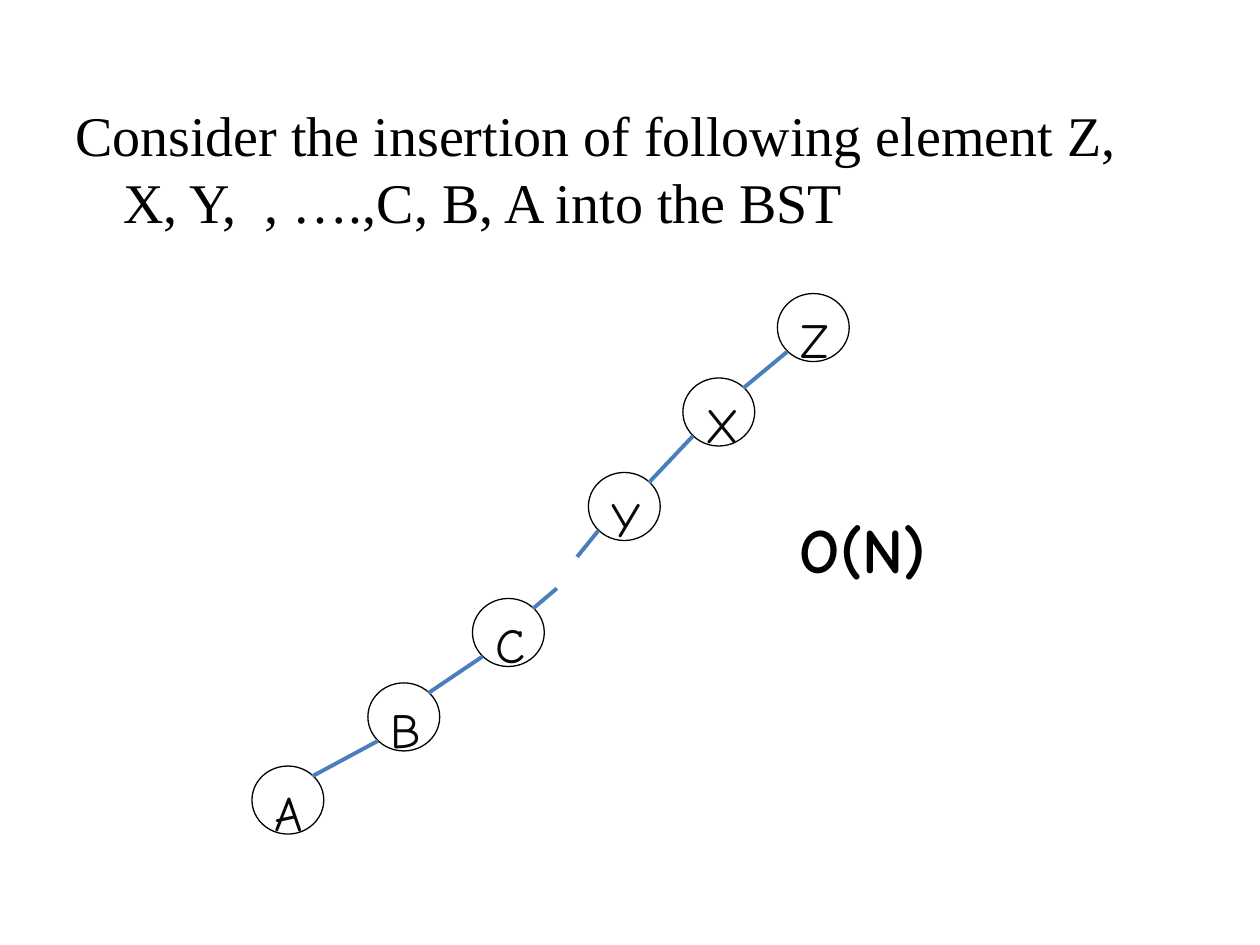
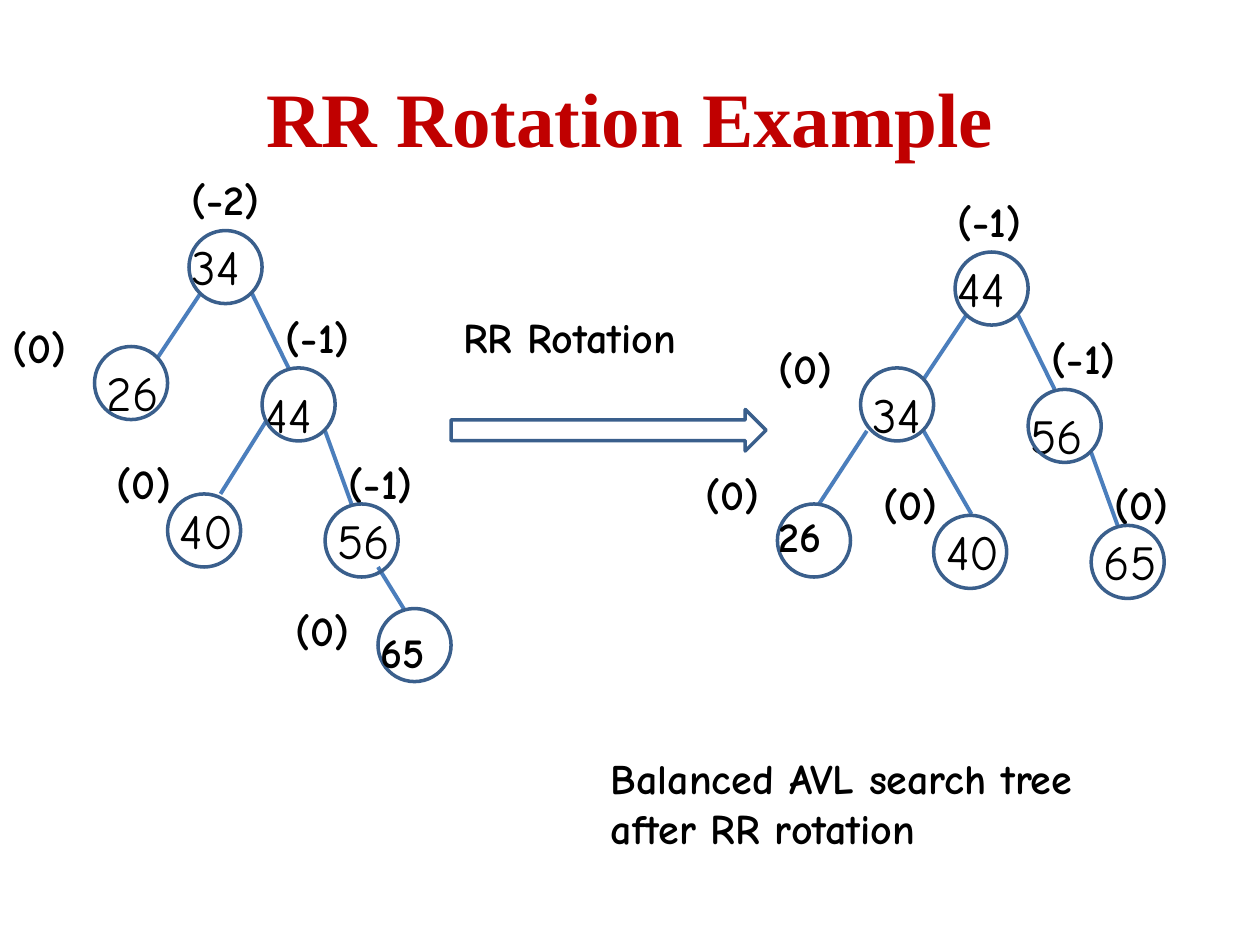
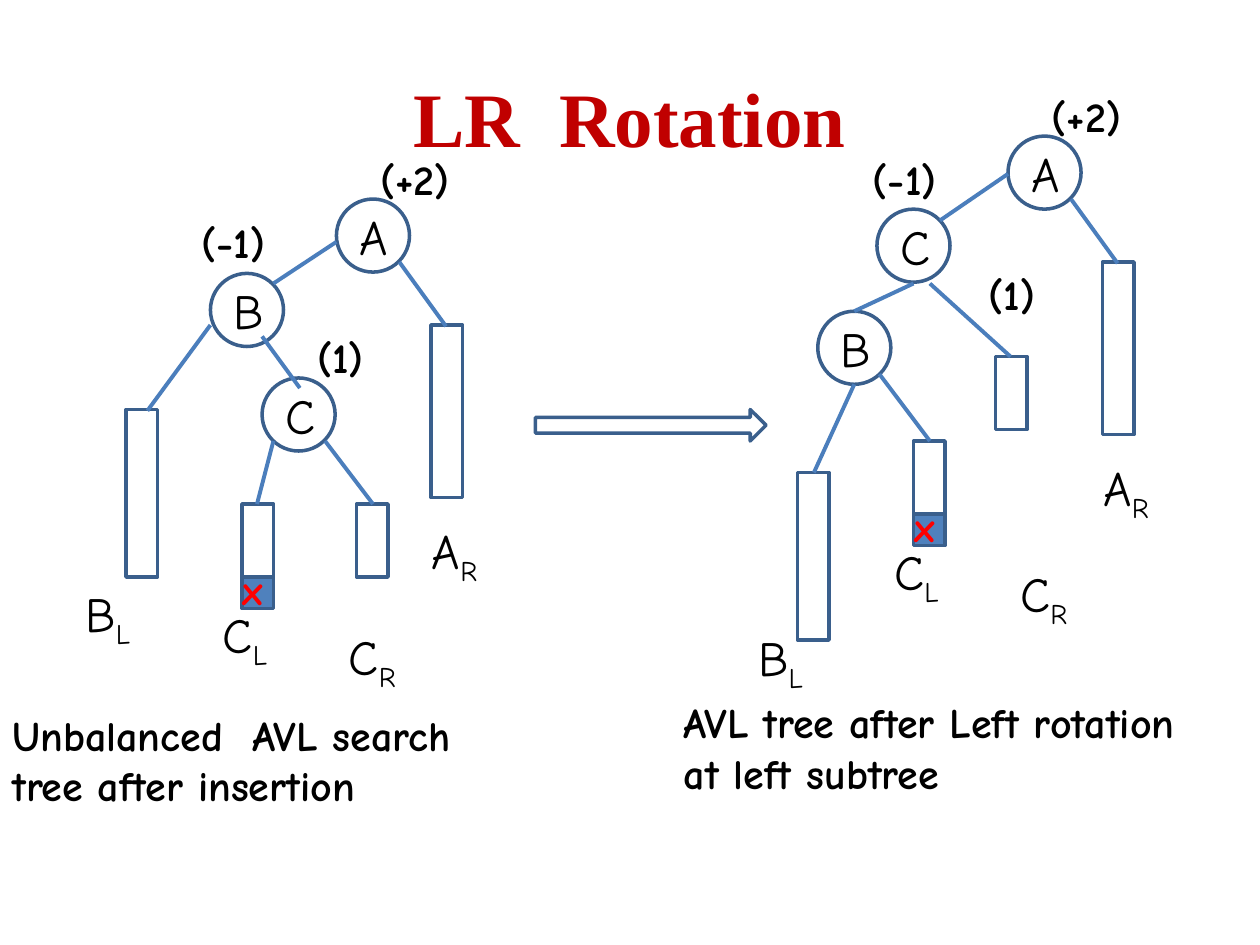
from itertools import pairwise

from lxml.etree import SubElement
from pptx import Presentation
from pptx.dml.color import RGBColor
from pptx.enum.shapes import MSO_CONNECTOR as Connector, MSO_SHAPE as Shape
from pptx.enum.text import MSO_ANCHOR as Anchor, MSO_AUTO_SIZE as AutoSize, PP_ALIGN as Align
from pptx.oxml.ns import qn
from pptx.util import Inches, Pt

SERIF, HAND = "Times New Roman", "Comic Neue"
BLACK, NODE_TEXT, TITLE_RED, MARK_RED = "000000", "080808", "C00000", "FF0000"
EDGE, OUTLINE, MARK_FILL = "4B7EBC", "3A5F8C", "4F81BD"
NODE = 0.58  # diameter of a tree node
BAR = 0.25   # width of a subtree bar


# Shared parts
def color(value):
    return RGBColor.from_string(value)


def style(span, size, bold=False, ink=BLACK, font=HAND):
    span.font.name = font
    span.font.size = Pt(size)
    span.font.bold = bold
    span.font.color.rgb = color(ink)


def add_text(page, left, top, width, height, text, size, bold=False, ink=BLACK, font=HAND):
    box = page.shapes.add_textbox(Inches(left), Inches(top), Inches(width), Inches(height))
    box.text_frame.word_wrap = True
    box.text_frame.text = text
    para = box.text_frame.paragraphs[0]
    style(para.runs[0], size, bold, ink, font)
    return box


def add_label(page, left, top, text, width=1.25, height=0.5, ink=BLACK):
    box = add_text(page, left, top, width, height, text, 24, True, ink)
    box.text_frame.auto_size = AutoSize.SHAPE_TO_FIT_TEXT


def add_subtree_name(page, left, top, name, side):
    box = add_text(page, left, top, 0.83, 0.57, name, 28)
    span = box.text_frame.paragraphs[0].add_run()
    span.text = side
    style(span, 28)
    span._r.get_or_add_rPr().set("baseline", "-25000")


def add_figure(page, kind, left, top, width, height, fill=None, line=OUTLINE, weight=2):
    figure = page.shapes.add_shape(kind, Inches(left), Inches(top), Inches(width), Inches(height))
    figure.shadow.inherit = False
    if fill:
        figure.fill.solid()
        figure.fill.fore_color.rgb = color(fill)
    else:
        figure.fill.background()
    figure.line.color.rgb = color(line)
    figure.line.width = Pt(weight)
    return figure


def add_node(page, left, top, text=None):
    node = add_figure(page, Shape.OVAL, left, top, NODE, NODE)
    if text:
        write_in(node, text, Anchor.MIDDLE)


def write_in(figure, text, anchor, ink=BLACK):
    frame = figure.text_frame
    frame.vertical_anchor = anchor
    frame.text = text
    para = frame.paragraphs[0]
    para.alignment = Align.CENTER
    style(para.runs[0], 28, ink=ink)


def add_edges(page, left, top, edges):
    for x1, y1, x2, y2 in edges:
        edge = page.shapes.add_connector(
            Connector.STRAIGHT, Inches(left + x1), Inches(top + y1),
            Inches(left + x2), Inches(top + y2))
        edge.line.color.rgb = color(EDGE)
        edge.line.width = Pt(2.25)
        SubElement(edge._element.spPr, qn("a:effectLst"))


def add_title(page, text):
    box = add_text(page, 0.5, 0.3, 9, 1.25, text, 44, True, TITLE_RED, SERIF)
    box.text_frame.vertical_anchor = Anchor.MIDDLE
    box.text_frame.paragraphs[0].alignment = Align.CENTER


# Slide 1: the chain that a sorted insertion makes
def add_chain(page, left, top):
    nodes = [("Z", 4.17, 0), ("X", 3.42, 0.67), ("Y", 2.67, 1.42),
             ("C", 1.75, 2.42), ("B", 0.92, 3.09), ("A", 0, 3.75)]
    for name, x, y in nodes:
        node = add_figure(page, Shape.OVAL, left + x, top + y, 0.57, 0.54, line=BLACK, weight=0.75)
        write_in(node, name, Anchor.TOP, NODE_TEXT)
    edges = []
    for (name, x1, y1), (_, x2, y2) in pairwise(nodes):
        start, end = (x1 + 0.08, y1 + 0.46), (x2 + 0.48, y2 + 0.08)
        if name == "Y":  # the gap stands for the letters left out
            edges += [(*start, 2.58, 2.09), (2.42, 2.34, *end)]
        else:
            edges.append((*start, *end))
    add_edges(page, left, top, edges)


def build_insertion(page):
    box = add_text(page, 0.5, 0.75, 8.9, 6.25,
                   "Consider the insertion of following element Z, X, Y,  , ….,C, B, A into the BST",
                   32, font=SERIF)
    indent = box.text_frame.paragraphs[0]._p.get_or_add_pPr()
    indent.set("marL", str(Inches(0.38)))
    indent.set("indent", str(Inches(-0.38)))
    add_chain(page, 2, 2.33)
    add_text(page, 6.25, 4, 2.17, 0.71, "O(N)", 36, True)


# Slide 2: a numbered tree of five nodes, and a sixth that differs
def add_number_tree(page, left, top, keys, balances, sixth, edges):
    node_places = [(1.5, 0.5), (0.75, 1.42), (2.08, 1.59), (1.33, 2.59), (2.58, 2.67)]
    key_places = [(1.42, 0.5, 1.08), (0.75, 1.5, 0.75), (2, 1.67, 1.25),
                  (1.33, 2.59, 0.75), (2.58, 2.67, 0.75)]
    balance_places = [(1.42, 0, 1.25), (0, 1.17, 0.92), (2.17, 1.09, 1.25),
                      (0.83, 2.25, 1.25), (2.67, 2.25, 1.25)]
    common_edges = [(1.59, 1, 1.25, 1.51), (2, 1, 2.29, 1.59), (2.58, 2.09, 2.79, 2.67)]
    add_edges(page, left, top, common_edges + edges)
    for key, (x, y, width) in zip(keys, key_places):
        add_text(page, left + x, top + y, width, 0.57, key, 28)
    for balance, (x, y, width) in zip(balances, balance_places):
        add_label(page, left + x, top + y, balance, width)
    key, node_place, (key_x, key_y), (balance_x, balance_y) = sixth
    for x, y in node_places + [node_place]:
        add_node(page, left + x, top + y)
    add_label(page, left + key_x, top + key_y, key, 0.83)
    add_label(page, left + balance_x, top + balance_y, "(0)")


def build_rr_example(page):
    add_title(page, "RR Rotation Example")
    add_figure(page, Shape.RIGHT_ARROW, 3.58, 3.25, 2.5, 0.33)
    add_label(page, 3.58, 2.42, "RR Rotation", 2.08, 0.91)
    add_number_tree(
        page, 0, 1.33, ["34", "26", "44", "40", "56"], ["(-2)", "(0)", "(-1)", "(0)", "(-1)"],
        sixth=("65", (3, 3.5), (2.92, 3.59), (2.25, 3.42)),
        edges=[(2.12, 2, 1.75, 2.59), (3, 3.17, 3.21, 3.51)])
    add_number_tree(
        page, 6.08, 1.5, ["44", "34", "56", "40", "65"], ["(-1)", "(0)", "(-1)", "(0)", "(0)"],
        sixth=("26", (0.09, 2.5), (0, 2.5), (-0.58, 2.17)),
        edges=[(0.8, 1.92, 0.42, 2.5), (1.25, 1.92, 1.63, 2.58)])
    add_label(page, 4.75, 5.92, "Balanced AVL search tree after RR rotation", 4.58, 0.91)


# Slide 3: a tree with subtrees drawn as bars
def add_subtree_tree(page, left, top, nodes, bars, b_name, edges):
    add_figure(page, Shape.RECTANGLE, left + 1.92, top + 3.41, BAR, BAR, MARK_FILL)
    for x, y, height in [(3.42, 1.41, 1.37), (1.92, 2.83, 0.58)] + bars:
        add_figure(page, Shape.RECTANGLE, left + x, top + y, BAR, height)
    for name, x, y in [("A", 2.67, 0.41)] + nodes:
        add_node(page, left + x, top + y, name)
    add_edges(page, left, top, [(3.17, 0.91, 3.54, 1.42)] + edges)
    names = [("A", "R", 3.33, 2.91), ("C", "L", 1.67, 3.58), ("C", "R", 2.67, 3.75),
             ("B", "L", *b_name)]
    for name, side, x, y in names:
        add_subtree_name(page, left + x, top + y, name, side)
    for balance, x, y in [("(+2)", 2.92, 0), ("(-1)", 1.5, 0.5), ("(1)", 2.42, 1.41)]:
        add_label(page, left + x, top + y, balance)
    add_label(page, left + 1.83, top + 3.25, "x", 0.5, ink=MARK_RED)


def build_lr_rotation(page):
    add_title(page, "LR  Rotation")
    add_figure(page, Shape.RIGHT_ARROW, 4.25, 3.25, 1.83, 0.25)
    add_subtree_tree(
        page, 0, 1.17,
        nodes=[("B", 1.67, 1), ("C", 2.08, 1.83)],
        bars=[(1, 2.08, 1.33), (2.83, 2.83, 0.58)],
        b_name=(0.58, 3.41),
        edges=[(2.17, 1.08, 2.67, 0.75), (1.67, 1.41, 1.17, 2.09), (2.08, 1.5, 2.38, 1.91),
               (2.17, 2.33, 2.04, 2.83), (2.58, 2.33, 2.96, 2.83)])
    add_subtree_tree(
        page, 5.33, 0.67,
        nodes=[("C", 1.63, 0.99), ("B", 1.16, 1.8)],
        bars=[(1, 3.08, 1.33), (2.57, 2.16, 0.58)],
        b_name=(0.59, 4.26),
        edges=[(2.13, 1.08, 2.67, 0.71), (1.92, 1.58, 1.45, 1.8), (2.05, 1.58, 2.69, 2.16),
               (1.45, 2.38, 1.13, 3.08), (1.65, 2.3, 2.05, 2.83)])
    add_label(page, 0, 5.58, "Unbalanced  AVL search tree after insertion", 4.25, 0.91)
    add_label(page, 5.33, 5.48, "AVL tree after Left rotation at left subtree", 4.17, 0.91)


def main():
    deck = Presentation()
    deck.slide_width, deck.slide_height = Inches(10), Inches(7.5)
    for build in (build_insertion, build_rr_example, build_lr_rotation):
        build(deck.slides.add_slide(deck.slide_layouts[6]))
    deck.save("out.pptx")


if __name__ == "__main__":
    main()
